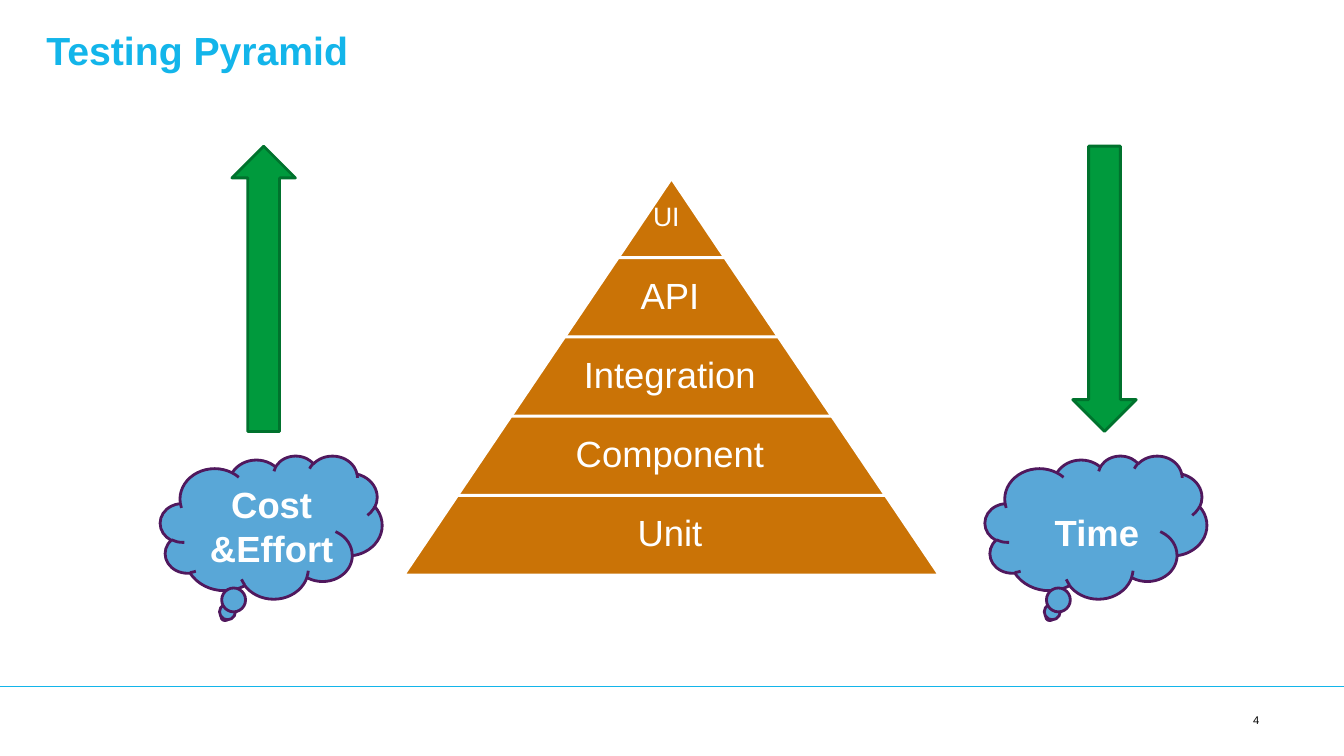
"""Build the testing pyramid slide."""
import pptx
import pptx.util
import pptx.dml.color
import pptx.enum.shapes
import pptx.enum.text
import pptx.oxml
import pptx.oxml.ns

Inches, Pt = pptx.util.Inches, pptx.util.Pt
KIND = pptx.enum.shapes.MSO_SHAPE
ALIGN = pptx.enum.text.PP_ALIGN
ANCHOR = pptx.enum.text.MSO_ANCHOR

TITLE = "Testing Pyramid"
NUMBER = "4"
TIERS = [("UI ", 19, 1), ("API", 26, 0.65), ("Integration", 26, 0.65),
         ("Component", 26, 0.65), ("Unit", 26, 0.65)]
SIDES = [
    {"label": "Cost &Effort", "cloud": 1.59, "arrow": 2.3, "turn": 180,
     "text": (1.75, 4.73, 1.89, 0.98)},
    {"label": "Time", "cloud": 9.77, "arrow": 10.64, "turn": 0,
     "text": (10.25, 5.01, 1.26, 0.54)},
]
COLORS = {"accent": "13B5EA", "tier": "CA7306", "white": "FFFFFF",
          "black": "000000", "cloud": "59A7D7", "rim": "50185D",
          "arrow": "009A3D", "edge": "00722D"}
MID, TOP, STEP, HIGH, WIDE = 6.66, 1.77, 0.786, 0.79, 1.062


def color(name):
    return pptx.dml.color.RGBColor.from_string(COLORS[name])


def write(frame, text, size, shade, bold=False, align=ALIGN.CENTER):
    frame.word_wrap = True
    frame.vertical_anchor = ANCHOR.MIDDLE
    frame.text = text
    line = frame.paragraphs[0]
    line.alignment = align
    font = line.runs[0].font
    font.name, font.size, font.bold = "Arial", Pt(size), bold
    font.color.rgb = color(shade)
    return line


def pad(frame, left, rest):
    frame.margin_left = Inches(left)
    frame.margin_top = frame.margin_right = frame.margin_bottom = Inches(rest)


def draw(slide, kind, box, fill, edge):
    shape = slide.shapes.add_shape(kind, *map(Inches, box))
    shape.shadow.inherit = False
    shape.fill.solid()
    shape.fill.fore_color.rgb = color(fill)
    shape.line.color.rgb = color(edge)
    shape.line.width = Pt(2)
    return shape


def label(slide, box):
    return slide.shapes.add_textbox(*map(Inches, box)).text_frame


def add_frame(slide):
    rule = slide.shapes.add_connector(
        pptx.enum.shapes.MSO_CONNECTOR.STRAIGHT,
        Inches(0), Inches(6.81), Inches(13.33), Inches(6.81))
    rule.line.color.rgb = color("accent")
    rule.line.width = Pt(0.75)
    props = rule.element.find(pptx.oxml.ns.qn("p:spPr"))
    props.append(pptx.oxml.parse_xml(
        "<a:effectLst %s/>" % pptx.oxml.ns.nsdecls("a")))

    title = slide.shapes.title
    title.left, title.top, title.width, title.height = map(
        Inches, (0.46, 0.16, 12.4, 0.66))
    title.text_frame.auto_size = pptx.enum.text.MSO_AUTO_SIZE.NONE
    pad(title.text_frame, 0, 0)
    write(title.text_frame, TITLE, 28, "accent", True, ALIGN.LEFT)

    number = label(slide, (12.33, 7.02, 0.53, 0.24))
    write(number, NUMBER, 8, "black", align=ALIGN.LEFT)


def add_tiers(slide):
    for row, (text, size, share) in enumerate(TIERS):
        width, top = WIDE * (row + 1), TOP + STEP * row
        tier = draw(slide, KIND.TRAPEZOID,
                    (MID - width / 2, top, width, HIGH), "tier", "white")
        tier.adjustments[0] = 0.675
        room = width * share
        frame = label(slide, (MID - room / 2, top, room, HIGH))
        pad(frame, 0, 0.03)
        write(frame, text, size, "white").line_spacing = 0.9


def add_side(slide, side):
    draw(slide, KIND.CLOUD_CALLOUT, (side["cloud"], 4.52, 2.2, 1.42),
         "cloud", "rim")
    arrow = draw(slide, KIND.DOWN_ARROW, (side["arrow"], 1.45, 0.63, 2.83),
                 "arrow", "edge")
    arrow.rotation = side["turn"]
    write(label(slide, side["text"]), side["label"], 26, "white", True)


def main():
    deck = pptx.Presentation()
    deck.slide_width, deck.slide_height = Inches(13.33), Inches(7.5)
    slide = deck.slides.add_slide(deck.slide_layouts[5])
    add_frame(slide)
    add_tiers(slide)
    for side in SIDES:
        add_side(slide, side)
    deck.save("out.pptx")


if __name__ == "__main__":
    main()
